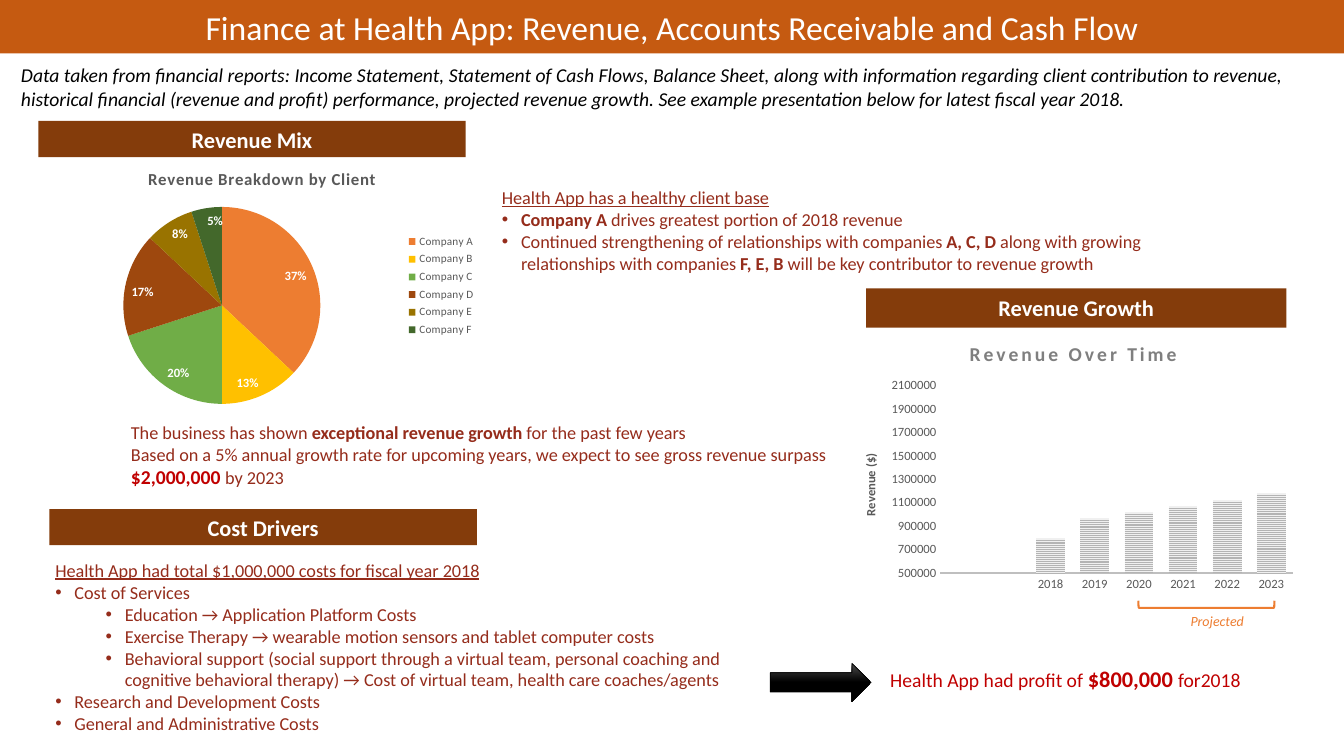
from lxml import etree
from pptx import Presentation
from pptx.chart.data import CategoryChartData
from pptx.dml.color import RGBColor
from pptx.enum.chart import XL_CHART_TYPE, XL_LABEL_POSITION, XL_LEGEND_POSITION, XL_TICK_MARK
from pptx.enum.dml import MSO_PATTERN
from pptx.enum.shapes import MSO_SHAPE
from pptx.enum.text import MSO_ANCHOR, PP_ALIGN
from pptx.oxml.ns import qn
from pptx.util import Inches, Pt

PIE, COLUMN = XL_CHART_TYPE.PIE, XL_CHART_TYPE.COLUMN_CLUSTERED
LEGEND_RIGHT, INSIDE_END = XL_LEGEND_POSITION.RIGHT, XL_LABEL_POSITION.INSIDE_END
NO_TICK, STRIPES = XL_TICK_MARK.NONE, MSO_PATTERN.NARROW_HORIZONTAL
RECT, BRACKET, ARROW = MSO_SHAPE.RECTANGLE, MSO_SHAPE.LEFT_BRACKET, MSO_SHAPE.RIGHT_ARROW
MIDDLE, CENTER = MSO_ANCHOR.MIDDLE, PP_ALIGN.CENTER

FONT = "Calibri"
COLORS = {
    "title": "C55A11", "band": "843C0B", "white": "FFFFFF", "black": "000000",
    "body": "952C1B", "accent": "C00000", "orange": "ED7D31", "gray": "595959",
    "heading": "7F7F7F", "axis": "BFBFBF", "stripe": "B4B4B4", "pale": "F0F0F0",
    "shine": "4B4B4B",
}
CLIENT_COLORS = ["ED7D31", "FFC000", "70AD47", "9E480E", "997300", "43682B"]
BODY = {"size": 13, "color": "body"}
BOLD = {"bold": True}


def rgb(name):
    """Return the named colour."""
    return RGBColor.from_string(COLORS[name])


def style(font, size, color, **formats):
    """Set the font name, size, colour and further attributes."""
    font.name, font.size = FONT, Pt(size)
    font.color.rgb = rgb(color)
    for name, value in formats.items():
        setattr(font, name, value)


def add_spans(para, spans, base):
    """Fill a paragraph with (text, formats) spans on top of base formats."""
    for text, formats in spans:
        span = para.add_run()
        span.text = text
        style(span.font, **{**base, **formats})


def add_bullet(para, level):
    """Give a paragraph a hanging bullet at the level."""
    para.level = level
    props = para._p.get_or_add_pPr()
    props.set("marL", str(Inches(0.19 + 0.5 * level)))
    props.set("indent", str(Inches(-0.19)))
    etree.SubElement(props, qn("a:buFont")).set("typeface", "Arial")
    etree.SubElement(props, qn("a:buChar")).set("char", "•")


def add_text(page, box, paras, base):
    """Add a text box of (bullet level or None, spans) paragraphs."""
    frame = page.shapes.add_textbox(*map(Inches, box)).text_frame
    frame.word_wrap = True
    for index, (level, spans) in enumerate(paras):
        para = frame.add_paragraph() if index else frame.paragraphs[0]
        if level is not None:
            add_bullet(para, level)
        add_spans(para, spans, base)


def add_band(page, box, text, fill="band", size=16, bold=True):
    """Add a filled rectangle with a centred heading."""
    band = page.shapes.add_shape(RECT, *map(Inches, box))
    band.shadow.inherit = False
    band.fill.solid()
    band.fill.fore_color.rgb = rgb(fill)
    band.line.fill.background()
    band.text_frame.vertical_anchor = MIDDLE
    para = band.text_frame.paragraphs[0]
    para.alignment = CENTER
    add_spans(para, [(text, {})], {"size": size, "color": "white", "bold": bold})


def add_chart(page, box, kind, categories, values, title, plot_box):
    """Add a titled chart whose plot area takes fractions of the box."""
    data = CategoryChartData()
    data.categories = categories
    data.add_series("Series 1", values)
    chart = page.shapes.add_chart(kind, *map(Inches, box), data).chart
    style(chart.font, 10, "black")
    text, size, color, spacing = title
    para = chart.chart_title.text_frame.paragraphs[0]
    add_spans(para, [(text, BOLD)], {"size": size, "color": color})
    para.runs[0].font._element.set("spc", str(spacing))
    chart.chart_title.include_in_layout = False
    area = chart._chartSpace.chart.plotArea
    for layout in area.findall(qn("c:layout")):
        area.remove(layout)
    layout = etree.Element(qn("c:layout"))
    area.insert(0, layout)
    manual = etree.SubElement(layout, qn("c:manualLayout"))
    settings = [("layoutTarget", "inner"), ("xMode", "edge"), ("yMode", "edge"),
                *zip("xywh", plot_box)]
    for name, value in settings:
        etree.SubElement(manual, qn(f"c:{name}")).set("val", str(value))
    return chart


def add_revenue_mix(page, left, top):
    """Place the client pie, its heading and its comments."""
    add_band(page, (left, top, 4.24, 0.36), "Revenue Mix")
    chart = add_chart(page, (left, top + 0.33, 4.44, 2.61), PIE,
                      [f"Company {letter}" for letter in "ABCDEF"], [37, 13, 20, 17, 8, 5],
                      ("Revenue Breakdown by Client", 12, "gray", 50), (0.19, 0.2, 0.44, 0.75))
    chart.has_legend = True
    chart.legend.position, chart.legend.include_in_layout = LEGEND_RIGHT, False
    style(chart.legend.font, 8, "gray")
    plot = chart.plots[0]
    plot.vary_by_categories = plot.has_data_labels = True
    labels = plot.data_labels
    formats = {"show_percentage": True, "show_value": False, "position": INSIDE_END,
               "number_format": "0%", "number_format_is_linked": False}
    for name, value in formats.items():
        setattr(labels, name, value)
    style(labels.font, 9, "white", bold=True)
    for index, color in enumerate(CLIENT_COLORS):
        fill = plot.series[0].points[index].format.fill
        fill.solid()
        fill.fore_color.rgb = RGBColor.from_string(color)
    add_text(page, (left + 4.5, top + 0.6, 7.5, 0.98), [
        (None, [("Health App has a healthy client base", {"underline": True})]),
        (0, [("Company A ", BOLD), ("drives greatest portion of 2018 revenue", {})]),
        (0, [("Continued strengthening of relationships with companies ", {}),
             ("A, C, D ", BOLD), ("along with growing relationships with companies ", {}),
             ("F, E, B ", BOLD), ("will be key contributor to revenue growth", {})]),
    ], BODY)
    add_text(page, (left + 0.82, top + 2.93, 7.31, 0.77), [
        (None, [("The business has shown ", {}), ("exceptional revenue growth ", BOLD),
                ("for the past few years", {})]),
        (None, [("Based on a 5% annual growth rate for upcoming years, "
                 "we expect to see gross revenue surpass ", {}),
                ("$2,000,000 ", {"size": 14, "color": "accent", "bold": True}),
                ("by 2023", {})]),
    ], BODY)


def add_revenue_growth(page, left, top):
    """Place the yearly column chart, its heading and the projection bracket."""
    add_band(page, (left, top, 4.17, 0.39), "Revenue Growth")
    chart = add_chart(page, (left - 0.22, top + 0.37, 4.55, 2.7), COLUMN,
                      ["", "", *map(str, range(2018, 2024))],
                      [None, None, 800000, 970000, 1020000, 1070000, 1120000, 1180000],
                      ("Revenue Over Time", 14, "heading", 200), (0.21, 0.22, 0.77, 0.69))
    chart.has_legend = False
    plot = chart.plots[0]
    plot.gap_width, plot.overlap, plot.vary_by_categories = 54, -17, False
    fill = plot.series[0].format.fill
    fill.patterned()
    fill.pattern = STRIPES
    fill.fore_color.rgb, fill.back_color.rgb = rgb("stripe"), rgb("pale")
    years, money = chart.category_axis, chart.value_axis
    for axis in (years, money):
        axis.major_tick_mark = axis.minor_tick_mark = NO_TICK
        axis.has_major_gridlines = False
        style(axis.tick_labels.font, 9, "gray")
    years.format.line.color.rgb, years.format.line.width = rgb("axis"), Pt(1.5)
    money.format.line.fill.background()
    money.minimum_scale, money.maximum_scale, money.major_unit = 500000, 2100000, 200000
    add_spans(money.axis_title.text_frame.paragraphs[0], [("Revenue ($)", BOLD)],
              {"size": 9, "color": "gray"})
    bracket = page.shapes.add_shape(
        BRACKET, *map(Inches, (left + 3.34, top + 2.46, 0.07, 1.35)))
    bracket.rotation, bracket.shadow.inherit = 270, False
    bracket.fill.background()
    bracket.line.color.rgb, bracket.line.width = rgb("orange"), Pt(1.5)
    add_text(page, (left + 3.12, top + 3.17, 0.86, 0.27), [(None, [("Projected", {})])],
             {"size": 10, "color": "orange", "italic": True})


def add_cost_drivers(page, left, top):
    """Place the cost heading and its bulleted list."""
    add_band(page, (left, top, 4.24, 0.36), "Cost Drivers")
    heading = {"underline": True}
    costs = [
        (0, "Cost of Services"),
        (1, "Education → Application Platform Costs"),
        (1, "Exercise Therapy → wearable motion sensors and tablet computer costs"),
        (1, "Behavioral support (social support through a virtual team, personal coaching and "
            "cognitive behavioral therapy) → Cost of virtual team, health care coaches/agents"),
        (0, "Research and Development Costs"),
        (0, "General and Administrative Costs"),
    ]
    add_text(page, (left - 0.04, top + 0.45, 7.37, 1.85), [
        (None, [("Health App had total $1,000,000 costs for fiscal year 2018", heading)]),
        *((level, [(text, {})]) for level, text in costs)], BODY)


def add_profit(page, left, top):
    """Place the arrow and the resulting profit."""
    add_text(page, (left + 1.09, top - 0.03, 3.82, 0.37), [
        (None, [("Health App had profit of ", {}), ("$800,000 ", {"size": 16, "bold": True}),
                ("for2018", {})])], {"size": 14, "color": "accent"})
    arrow = page.shapes.add_shape(ARROW, *map(Inches, (left, top, 1, 0.38)))
    arrow.shadow.inherit = False
    arrow.fill.gradient()
    arrow.fill.gradient_angle = 270
    for stop, color, position in zip(arrow.fill.gradient_stops, ("shine", "black"), (0, 0.5)):
        stop.color.rgb, stop.position = rgb(color), position
    arrow.line.color.rgb, arrow.line.width = rgb("black"), Pt(0.5)


def add_header(page, width):
    """Place the title band and the introduction."""
    add_band(page, (0, 0, width, 0.53),
             "Finance at Health App: Revenue, Accounts Receivable and Cash Flow", "title", 24, False)
    add_text(page, (0.11, 0.58, width - 0.17, 0.57), [(None, [(
        "Data taken from financial reports: Income Statement, Statement of Cash Flows, Balance "
        "Sheet, along with information regarding client contribution to revenue, historical "
        "financial (revenue and profit) performance, projected revenue growth. See example "
        "presentation below for latest fiscal year 2018.", {})])],
        {"size": 14, "color": "black", "italic": True})


deck = Presentation()
deck.slide_width, deck.slide_height = Inches(13.33), Inches(7.5)
slide = deck.slides.add_slide(deck.slide_layouts[6])
add_header(slide, 13.33)
add_revenue_mix(slide, 0.38, 1.2)
add_revenue_growth(slide, 8.59, 2.86)
add_cost_drivers(slide, 0.49, 5.05)
add_profit(slide, 7.64, 6.58)
deck.save("out.pptx")
